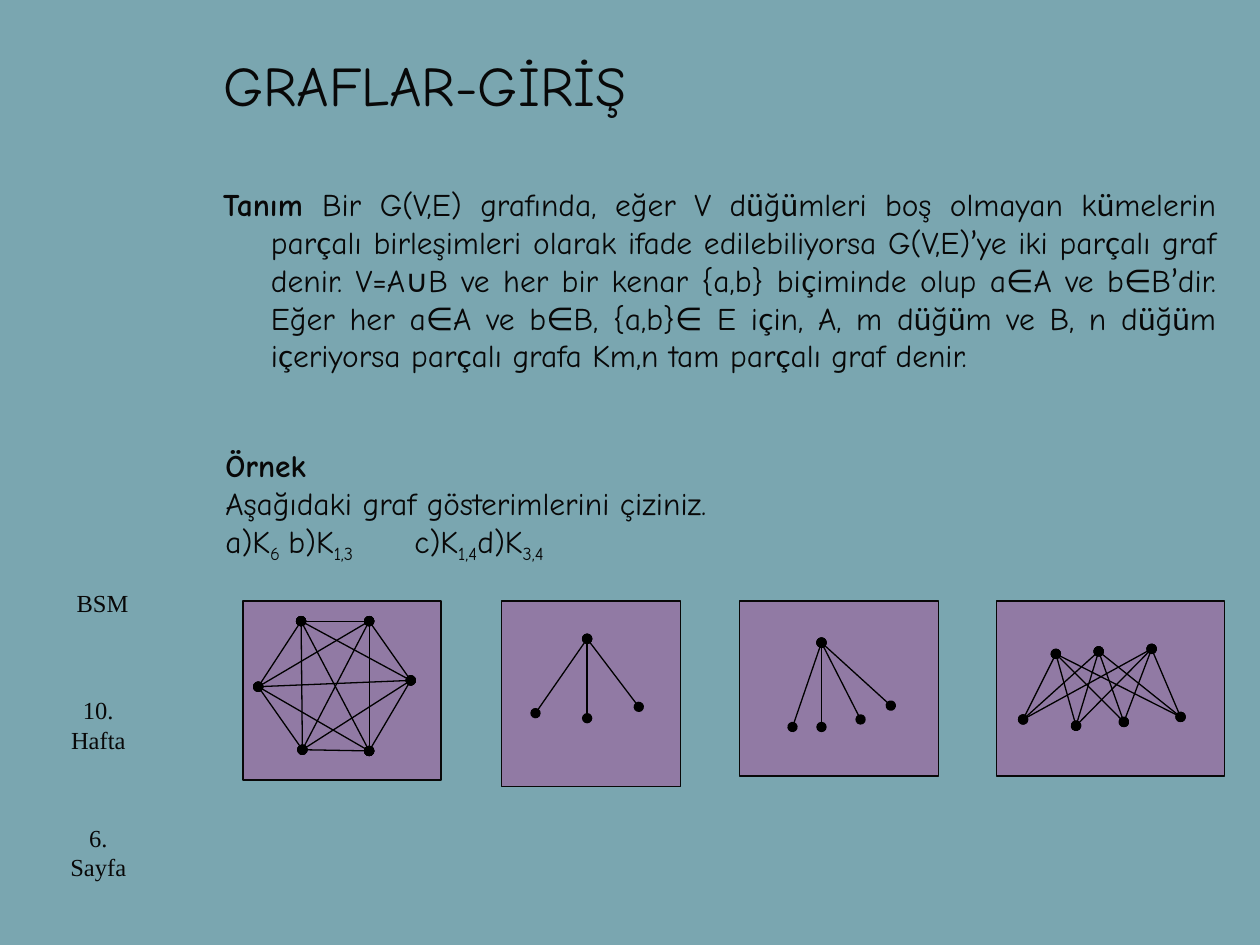
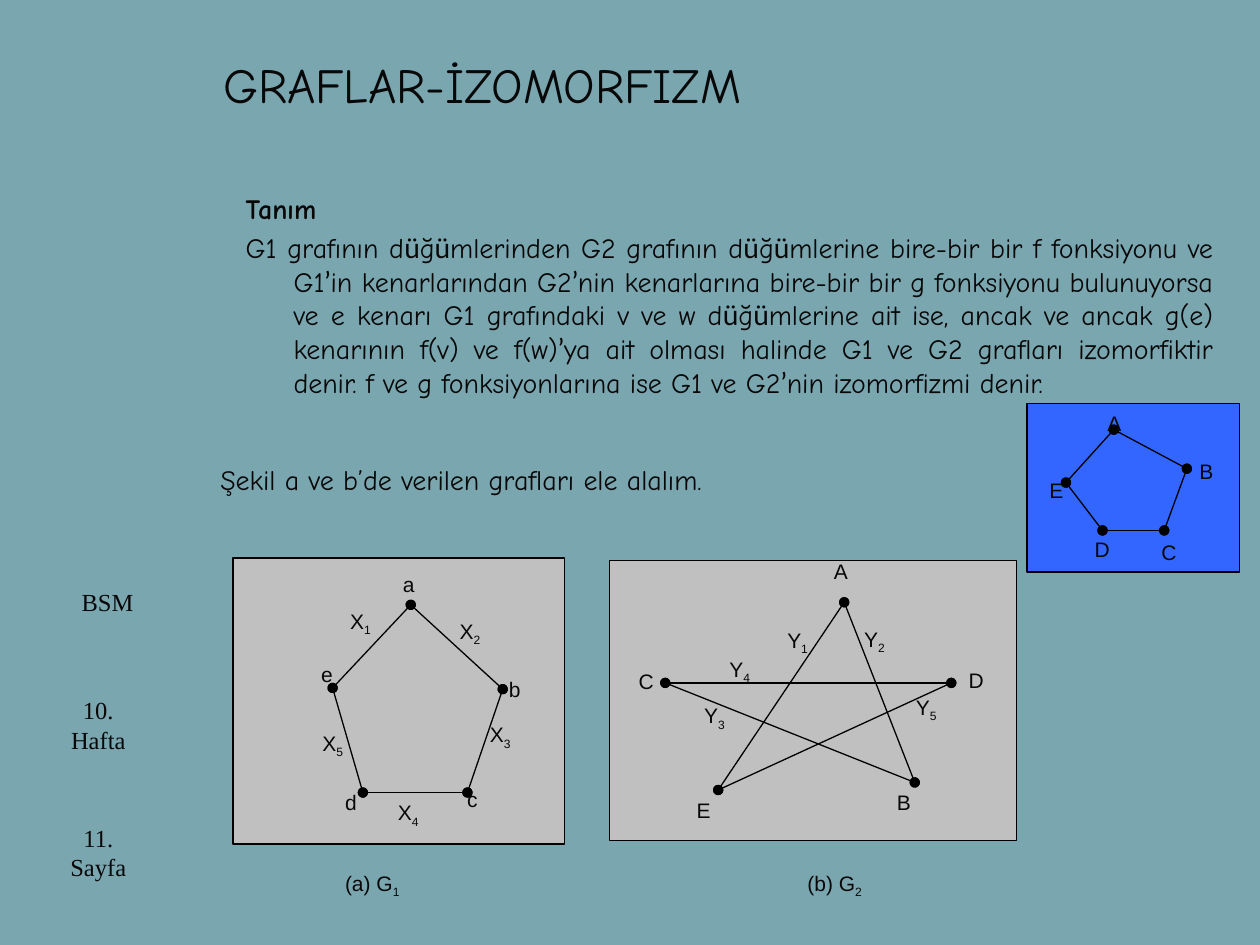
"""Build two slides on complete, bipartite and isomorphic graphs."""
from itertools import combinations, groupby, product

from lxml.etree import SubElement
from pptx import Presentation
from pptx.dml.color import RGBColor
from pptx.enum.shapes import MSO_CONNECTOR, MSO_SHAPE
from pptx.enum.text import MSO_ANCHOR, MSO_AUTO_SIZE, PP_ALIGN
from pptx.oxml.ns import qn
from pptx.util import Inches, Pt

BACKGROUND = RGBColor(0x7A, 0xA6, 0xB0)
INK = RGBColor(0x08, 0x08, 0x08)
BLACK = RGBColor(0, 0, 0)
PURPLE = RGBColor(0x91, 0x7A, 0xA4)
GREY = RGBColor(0xC0, 0xC0, 0xC0)
BLUE = RGBColor(0x33, 0x66, 0xFF)

HAND_FONT, ACCENT_FONT = "Comic Neue", "Lato"
LABEL_FONT, FOOTER_FONT = "Arial", "Times New Roman"
ACCENTS = "üç’"
HANGING = 0.38
TAB_STEP = 2


def complete(nodes):
    """Join every pair of nodes."""
    return list(combinations(nodes, 2))


def bipartite(upper, lower):
    """Join every upper node to every lower node."""
    return list(product(upper, lower))


def cycle(nodes):
    """Join each node to the next and the last to the first."""
    return list(zip(nodes, nodes[1:] + nodes[:1]))


INTRO = {
    "title": ("GRAFLAR-GİRİŞ", 32),
    "body": (
        ["*Tanım *Bir G(V,E) grafında, eğer V düğümleri boş olmayan kümelerin "
         "parçalı birleşimleri olarak ifade edilebiliyorsa G(V,E)’ye iki parçalı graf "
         "denir. V=A∪B ve her bir kenar {a,b} biçiminde olup a∈A ve b∈B’dir. "
         "Eğer her a∈A ve b∈B, {a,b}∈ E için, A, m düğüm ve B, n düğüm "
         "içeriyorsa parçalı grafa Km,n tam parçalı graf denir."],
        18, (1.67, 1.42, 8.08, 2.02)),
    "example": (
        ["*Örnek*", "Aşağıdaki graf gösterimlerini çiziniz.",
         "a)K_6_\tb)K_1,3_\tc)K_1,4_\td)K_3,4_"],
        18, (1.69, 3.51, 8.11, 1)),
    "page": "6. Sayfa",
    "course": (0.51, 4.62),
    "graphs": [
        {"panel": (1.93, 4.77, 1.57, 1.42), "fill": PURPLE,
         "edges": complete([(2.39, 4.93), (2.93, 4.93), (3.26, 5.4),
                            (2.93, 5.96), (2.4, 5.95), (2.05, 5.45)])},
        {"panel": (3.98, 4.77, 1.42, 1.47), "fill": PURPLE,
         "edges": bipartite([(4.66, 5.07)], [(4.25, 5.66), (4.66, 5.7), (5.07, 5.61)])},
        {"panel": (5.87, 4.77, 1.58, 1.39), "fill": PURPLE,
         "edges": bipartite([(6.52, 5.1)],
                            [(6.29, 5.77), (6.52, 5.77), (6.83, 5.71), (7.07, 5.6)])},
        {"panel": (7.91, 4.77, 1.81, 1.39), "fill": PURPLE,
         "edges": bipartite([(8.38, 5.19), (8.72, 5.17), (9.14, 5.15)],
                            [(8.12, 5.71), (8.54, 5.76), (8.92, 5.73), (9.37, 5.69)])},
    ],
}

ISOMORPHISM = {
    "title": ("GRAFLAR-İZOMORFIZM", 28),
    "body": (
        ["*Tanım*",
         "G1 grafının düğümlerinden G2 grafının düğümlerine bire-bir bir f fonksiyonu ve "
         "G1’in kenarlarından G2’nin kenarlarına bire-bir bir g fonksiyonu bulunuyorsa "
         "ve e kenarı G1 grafındaki v ve w düğümlerine ait ise, ancak ve ancak g(e) "
         "kenarının f(v) ve f(w)’ya ait olması halinde G1 ve G2 grafları izomorfiktir "
         "denir. f ve g fonksiyonlarına ise G1 ve G2’nin izomorfizmi denir."],
        16, (1.85, 1.47, 7.88, 2.55)),
    "example": (["Şekil a ve b’de verilen grafları ele alalım."], 16, (1.65, 3.62, 6.34, 0.37)),
    "page": "11. Sayfa",
    "course": (0.55, 4.61),
    "graphs": [
        {"panel": (1.85, 4.43, 2.63, 2.27), "fill": GREY, "outline": BLACK,
         "edges": cycle([(3.26, 4.8), (2.64, 5.46), (2.88, 6.29), (3.71, 6.29), (3.99, 5.47)]),
         "labels": [("a", 3.1, 4.49), ("b", 3.94, 5.32), ("c", 3.61, 6.19),
                    ("d", 2.64, 6.22), ("e", 2.45, 5.2),
                    ("X_1_", 2.68, 4.78), ("X_2_", 3.55, 4.86), ("X_3_", 3.79, 5.68),
                    ("X_4_", 3.06, 6.3), ("X_5_", 2.46, 5.75), ("(a) G_1_", 2.64, 6.86)]},
        {"panel": (4.84, 4.45, 3.23, 2.22), "fill": GREY, "outline": BLACK,
         "edges": cycle([(6.7, 4.78), (5.7, 6.27), (7.55, 5.42), (5.28, 5.42), (7.26, 6.21)]),
         "labels": [("A", 6.52, 4.38), ("B", 7.02, 6.22), ("C", 4.97, 5.26),
                    ("D", 7.59, 5.25), ("E", 5.43, 6.28),
                    ("Y_1_", 6.15, 4.93), ("Y_2_", 6.76, 4.92), ("Y_3_", 5.49, 5.53),
                    ("Y_4_", 5.69, 5.16), ("Y_5_", 7.17, 5.46), ("(b) G_2_", 6.31, 6.86)]},
        {"panel": (8.15, 3.2, 1.69, 1.34), "fill": BLUE, "outline": BLACK,
         "edges": cycle([(8.84, 3.41), (8.46, 3.83), (8.75, 4.21), (9.24, 4.21), (9.42, 3.72)]),
         "labels": [("A", 8.69, 3.21), ("B", 9.42, 3.59), ("C", 9.12, 4.23),
                    ("D", 8.59, 4.21), ("E", 8.23, 3.74)]},
    ],
}


def inches(values):
    """Turn plain numbers into lengths."""
    return [Inches(value) for value in values]


def styled_characters(text):
    """Yield characters with their bold and subscript state; * and _ toggle these."""
    bold = subscript = False
    for character in text:
        if character == "*":
            bold = not bold
        elif character == "_":
            subscript = not subscript
        else:
            yield character, bold, subscript


def write(box, lines, *, size, font, accent_font=None, align=PP_ALIGN.LEFT,
          anchor=MSO_ANCHOR.TOP, hanging=0, tabs=0):
    """Fill a box with formatted paragraphs."""
    frame = box.text_frame
    frame.word_wrap = True
    frame.auto_size = MSO_AUTO_SIZE.NONE
    frame.vertical_anchor = anchor

    def style(item):
        character, bold, subscript = item
        accented = accent_font and character in ACCENTS
        return bold, subscript, accent_font if accented else font

    for index, line in enumerate(lines):
        para = frame.add_paragraph() if index else frame.paragraphs[0]
        properties = para._p.get_or_add_pPr()
        properties.set("marL", str(Inches(hanging)))
        properties.set("indent", str(-Inches(hanging)))
        SubElement(properties, qn("a:buNone"))
        if tabs:
            stops = SubElement(properties, qn("a:tabLst"))
            for number in range(1, tabs + 1):
                SubElement(stops, qn("a:tab"), pos=str(Inches(TAB_STEP * number)), algn="l")
        para.alignment = align
        para.space_before = Pt(size * 0.2 if index and hanging else 0)
        for (bold, subscript, name), items in groupby(styled_characters(line), style):
            span = para.add_run()
            span.text = "".join(item[0] for item in items)
            span.font.size = Pt(size)
            span.font.name = name
            span.font.bold = bold
            span.font.color.rgb = INK
            if subscript:
                span.font._element.set("baseline", "-25000")


def place(box, area):
    """Move a placeholder to an area."""
    box.left, box.top, box.width, box.height = inches(area)


def add_edge(shapes, start, end):
    """Draw an edge with a dot at each node."""
    edge = shapes.add_connector(MSO_CONNECTOR.STRAIGHT, *inches(start + end))
    edge.line.color.rgb = BLACK
    edge.line.width = Pt(0.75)
    outline = edge.line._get_or_add_ln()
    for tag in ("a:headEnd", "a:tailEnd"):
        SubElement(outline, qn(tag), type="oval")
    SubElement(edge._element.spPr, qn("a:effectLst"))


def add_graph(page, panel, fill, edges, outline=INK, labels=()):
    """Draw a panel with the edges and labels of one graph."""
    shapes = page.shapes.add_group_shape().shapes
    frame = shapes.add_shape(MSO_SHAPE.RECTANGLE, *inches(panel))
    frame.shadow.inherit = False
    frame.fill.solid()
    frame.fill.fore_color.rgb = fill
    frame.line.color.rgb = outline
    frame.line.width = Pt(0.75)
    for start, end in edges:
        add_edge(shapes, start, end)
    for text, left, top in labels:
        width = 0.74 if "(" in text else 0.46
        box = shapes.add_textbox(*inches((left, top, width, 0.3)))
        write(box, [text], size=12, font=LABEL_FONT)


def add_page(deck, content):
    """Add one slide from its content."""
    page = deck.slides.add_slide(deck.slide_layouts[1])
    title, body = page.placeholders

    text, size = content["title"]
    place(title, (1.67, 0.08, 8.07, 1.17))
    write(title, [text], size=size, font=HAND_FONT, anchor=MSO_ANCHOR.MIDDLE)

    lines, size, area = content["body"]
    place(body, area)
    write(body, lines, size=size, font=HAND_FONT, accent_font=ACCENT_FONT,
          align=PP_ALIGN.JUSTIFY, hanging=HANGING)

    lines, size, area = content["example"]
    example = page.shapes.add_textbox(*inches(area))
    write(example, lines, size=size, font=HAND_FONT, anchor=MSO_ANCHOR.MIDDLE,
          tabs=max(line.count("\t") for line in lines))

    for graph in content["graphs"]:
        add_graph(page, **graph)

    footers = [
        ("10. Hafta", (0.39, 5.47, 0.78, 0.7), PP_ALIGN.CENTER),
        (content["page"], (0.39, 6.48, 0.78, 0.62), PP_ALIGN.CENTER),
        ("BSM", content["course"] + (0.7, 0.33), PP_ALIGN.LEFT),
    ]
    for text, area, align in footers:
        box = page.shapes.add_textbox(*inches(area))
        write(box, [text], size=14, font=FOOTER_FONT, align=align)


def main():
    """Build and save the deck."""
    deck = Presentation()
    deck.slide_width, deck.slide_height = inches((10, 7.5))
    background = deck.slide_master.background.fill
    background.solid()
    background.fore_color.rgb = BACKGROUND
    for content in (INTRO, ISOMORPHISM):
        add_page(deck, content)
    deck.save("out.pptx")


if __name__ == "__main__":
    main()
